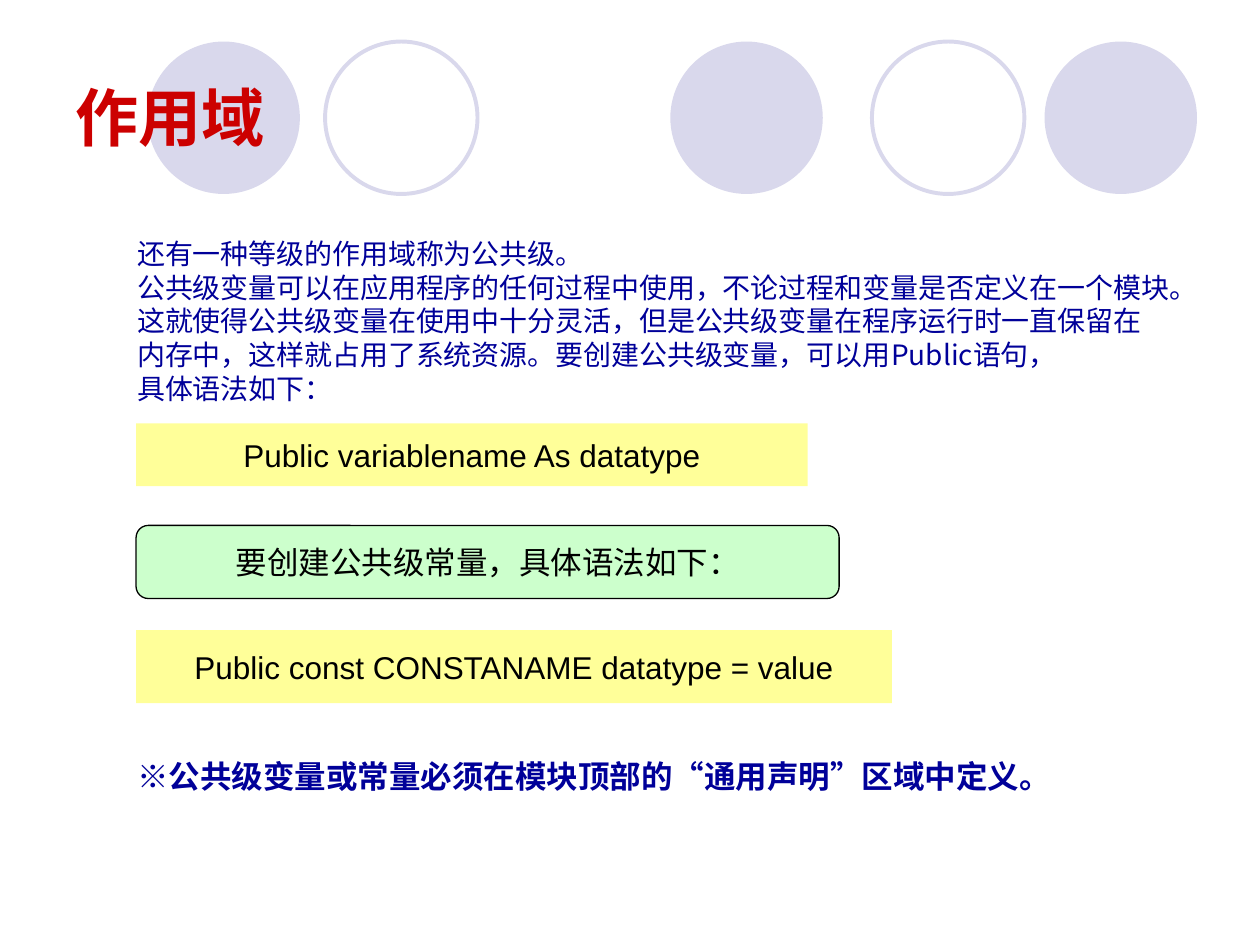
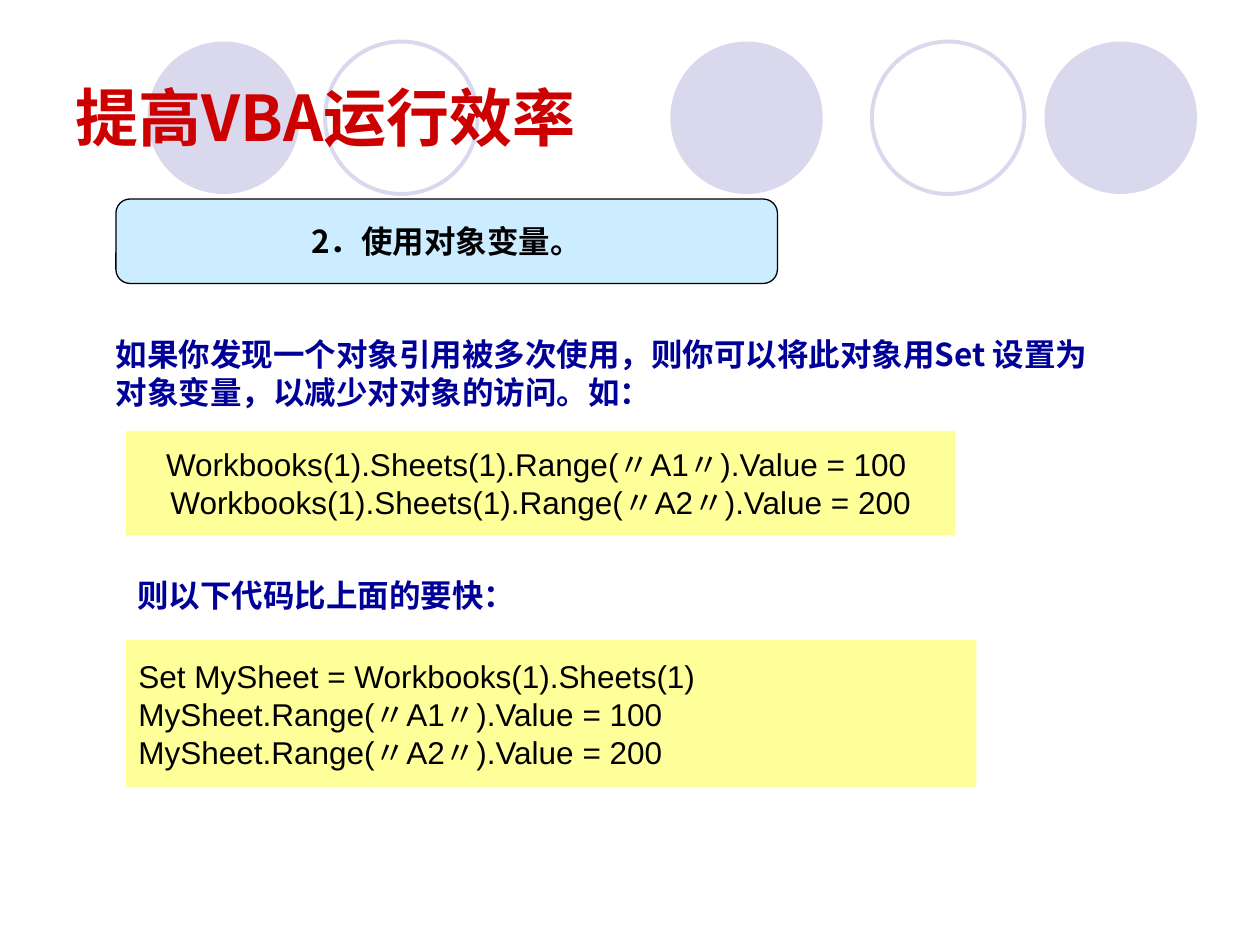
import pptx
import pptx.dml.color
import pptx.enum.shapes
import pptx.enum.text
import pptx.oxml
import pptx.oxml.ns
import pptx.util
from pptx.util import Inches

COLORS = {
    "circle": "D9D8EC", "title": "CC0000", "body": "000099", "ink": "000000",
    "code": "FFFF99", "green": "CCFFCC", "blue": "CCECFF",
}
LATIN, HAN = "Arial", "Noto Sans CJK SC"
SHAPES = pptx.enum.shapes.MSO_SHAPE
ALIGN = pptx.enum.text.PP_ALIGN
ANCHOR = pptx.enum.text.MSO_ANCHOR
CIRCLE_SIZE = 1.21
CIRCLES = [(5.32, True), (8.29, True), (1.17, True), (6.92, False), (2.58, False)]


def rgb(name):
    """Return the named colour."""
    return pptx.dml.color.RGBColor.from_string(COLORS[name])


def write(frame, lines, size=18, color="ink", font=LATIN, bold=False,
          align=ALIGN.LEFT, anchor=ANCHOR.MIDDLE):
    """Fill a text frame with equally formatted paragraphs."""
    frame.word_wrap = True
    frame.vertical_anchor = anchor
    frame.text = "\n".join(lines)
    for para in frame.paragraphs:
        para.alignment = align
        para.font.size = pptx.util.Pt(size)
        para.font.bold = bold
        para.font.color.rgb = rgb(color)
        para.font.name = font
        defaults = para._p.pPr.find(pptx.oxml.ns.qn("a:defRPr"))
        east_asian = pptx.oxml.parse_xml(
            f'<a:ea {pptx.oxml.ns.nsdecls("a")} typeface="{HAN}"/>')
        defaults.append(east_asian)


def add_figure(page, kind, box, fill=None, line=None, width=0.75):
    """Add a preset shape with an optional fill and outline."""
    figure = page.shapes.add_shape(kind, *map(Inches, box))
    figure.shadow.inherit = False
    if fill:
        figure.fill.solid()
        figure.fill.fore_color.rgb = rgb(fill)
    else:
        figure.fill.background()
    if line:
        figure.line.color.rgb = rgb(line)
        figure.line.width = pptx.util.Pt(width)
    else:
        figure.line.fill.background()
    return figure


def add_circle_band(page, top):
    """Draw the row of solid and hollow circles."""
    for left, solid in CIRCLES:
        add_figure(page, SHAPES.OVAL, (left, top, CIRCLE_SIZE, CIRCLE_SIZE),
                   fill="circle" if solid else None,
                   line=None if solid else "circle", width=2.25)


def add_page(deck, heading, font):
    """Add a page with the circle band behind its title."""
    page = deck.slides.add_slide(deck.slide_layouts[5])
    add_circle_band(page, 0.33)
    title = page.shapes.title
    title.left, title.top, title.width, title.height = map(Inches, (0.5, 0.3, 9, 1.25))
    write(title.text_frame, [heading], 36, "title", font, True)
    page.shapes._spTree.append(title._element)
    return page


def add_code(page, box, lines, align=ALIGN.CENTER):
    """Add a yellow block of code."""
    block = add_figure(page, SHAPES.RECTANGLE, box, "code")
    write(block.text_frame, lines, align=align)


def add_banner(page, box, text, fill, **style):
    """Add a rounded, outlined banner."""
    banner = add_figure(page, SHAPES.ROUNDED_RECTANGLE, box, fill, "ink")
    write(banner.text_frame, [text], align=ALIGN.CENTER, **style)


def add_prose(page, box, lines, **style):
    """Add blue explanatory text."""
    prose = page.shapes.add_textbox(*map(Inches, box))
    write(prose.text_frame, lines, color="body", anchor=ANCHOR.TOP, **style)


def build_scope_page(deck):
    """Build the page on public scope."""
    page = add_page(deck, "作用域", LATIN)
    add_prose(page, (0.99, 1.83, 8.65, 1.44), [
        "还有一种等级的作用域称为公共级。",
        "公共级变量可以在应用程序的任何过程中使用，不论过程和变量是否定义在一个模块。",
        "这就使得公共级变量在使用中十分灵活，但是公共级变量在程序运行时一直保留在",
        "内存中，这样就占用了系统资源。要创建公共级变量，可以用Public语句，",
        "具体语法如下：",
    ], size=16, font=HAN)
    add_code(page, (1.08, 3.36, 5.33, 0.5), ["Public variablename As datatype"])
    add_banner(page, (1.08, 4.17, 5.58, 0.58), "要创建公共级常量，具体语法如下：", "green")
    add_code(page, (1.08, 5, 6, 0.58), ["Public const CONSTANAME datatype = value"])
    add_prose(page, (0.99, 5.96, 7.41, 0.4),
              ["※公共级变量或常量必须在模块顶部的“通用声明”区域中定义。"], bold=True)


def build_efficiency_page(deck):
    """Build the page on object variables."""
    page = add_page(deck, "提高VBA运行效率", HAN)
    add_banner(page, (0.92, 1.58, 5.25, 0.67), "2．使用对象变量。", "blue",
               font=HAN, bold=True)
    add_prose(page, (0.82, 2.61, 8.17, 0.7), [
        "如果你发现一个对象引用被多次使用，则你可以将此对象用Set 设置为",
        "对象变量，以减少对对象的访问。如：",
    ], font=HAN, bold=True)
    add_code(page, (1, 3.42, 6.58, 0.83), [
        "Workbooks(1).Sheets(1).Range(〃A1〃).Value = 100 ",
        "Workbooks(1).Sheets(1).Range(〃A2〃).Value = 200",
    ])
    add_prose(page, (0.99, 4.52, 3.2, 0.4), ["则以下代码比上面的要快："], bold=True)
    add_code(page, (1, 5.08, 6.75, 1.17), [
        "Set MySheet = Workbooks(1).Sheets(1)",
        "MySheet.Range(〃A1〃).Value = 100",
        "MySheet.Range(〃A2〃).Value = 200",
    ], ALIGN.LEFT)


def main():
    """Build and save the deck."""
    deck = pptx.Presentation()
    deck.slide_width, deck.slide_height = Inches(10), Inches(7.5)
    build_scope_page(deck)
    build_efficiency_page(deck)
    deck.save("out.pptx")


if __name__ == "__main__":
    main()
